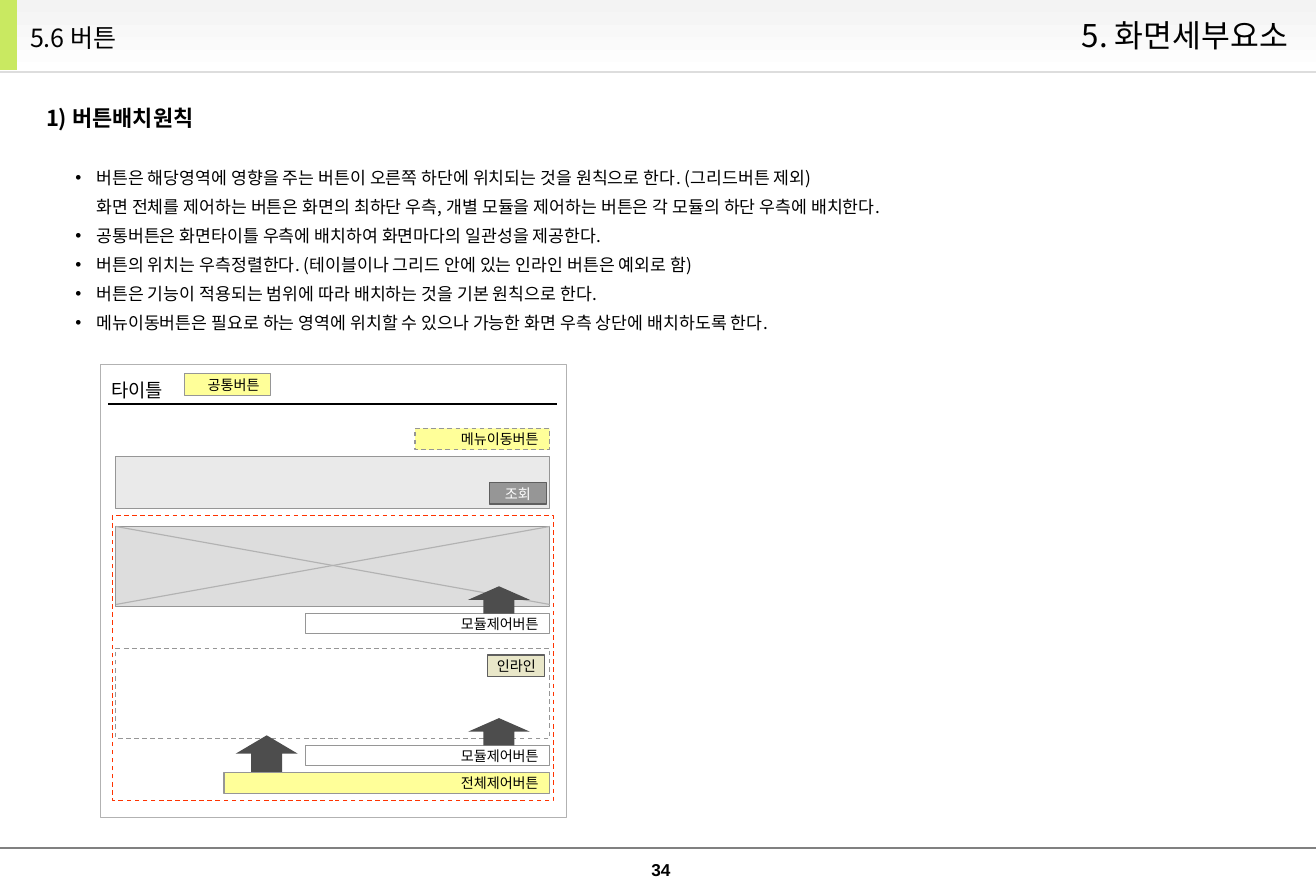
from pptx import Presentation
from pptx.dml.color import RGBColor
from pptx.enum.dml import MSO_LINE
from pptx.enum.shapes import MSO_CONNECTOR, MSO_SHAPE as Form
from pptx.enum.text import MSO_ANCHOR as Anchor, PP_ALIGN as Align
from pptx.oxml.ns import qn
from pptx.util import Pt
from lxml.etree import SubElement

WIDE, HIGH = 840.25, 570.25
KOR = "Noto Sans CJK KR"
BLACK, WHITE, GRAY, EDGE = "000000", "FFFFFF", "969696", "5F5F5F"
PALE, YELLOW, SILVER, DARK = "DDDDDD", "FFFF99", "B2B2B2", "4D4D4D"

TITLE = "5.6 버튼"
PART = "5. 화면세부요소"
HEAD = "1) 버튼배치원칙"
RULES = [
    ["버튼은 해당영역에 영향을 주는 버튼이 오른쪽 하단에 위치되는 것을 원칙으로 한다. (그리드버튼 제외)",
     "화면 전체를 제어하는 버튼은 화면의 최하단 우측, 개별 모듈을 제어하는 버튼은 각 모듈의 하단 우측에 배치한다."],
    ["공통버튼은 화면타이틀 우측에 배치하여 화면마다의 일관성을 제공한다."],
    ["버튼의 위치는 우측정렬한다. (테이블이나 그리드 안에 있는 인라인 버튼은 예외로 함)"],
    ["버튼은 기능이 적용되는 범위에 따라 배치하는 것을 기본 원칙으로 한다."],
    ["메뉴이동버튼은 필요로 하는 영역에 위치할 수 있으나 가능한 화면 우측 상단에 배치하도록 한다."],
]

# Panels: left, top, width, height, fill, line, weight, dashed
LEFT, RIGHT = 74, 351
SPAN = RIGHT - LEFT
PANELS = [
    (72, 329, 281.5, 182.2, None, "FF3300", 0.75, True),
    (LEFT, 414, SPAN, 57.6, WHITE, GRAY, 0.75, True),
    (LEFT, 291.6, SPAN, 33.2, "EAEAEA", GRAY, 0.75, False),
    (LEFT, 336.2, SPAN, 51, PALE, GRAY, 0.75, False),
    (64, 232.5, 297.5, 289.5, None, SILVER, 0.25, False),
]
# Wide buttons: text, right edge, top, width, height, fill, dashed
BUTTONS = [
    ("공통버튼", 172.8, 238.3, 54.8, 14.4, YELLOW, False),
    ("메뉴이동버튼", RIGHT, 273.6, 86, 13.7, YELLOW, True),
    ("모듈제어버튼", RIGHT, 391.8, 156, 12.8, WHITE, False),
    ("모듈제어버튼", RIGHT, 476, 156, 12.8, WHITE, False),
    ("전체제어버튼", RIGHT, 493.2, 208, 13.7, YELLOW, False),
]
# Small buttons: text, left, top, fill, text colour
SMALL = [
    ("인라인", 311.5, 418.3, "E9E7C9", BLACK),
    ("조회", 312.5, 308.2, GRAY, WHITE),
]
ARROWS = [(150.5, 469.6, 23.4), (298.8, 374.4, 17.4), (298.8, 458.6, 17.4)]


def tint(code):
    return RGBColor.from_string(code)


def box(form, x, y, w, h, fill=None, line=None, weight=0.75, dash=False):
    shape = slide.shapes.add_shape(form, Pt(x), Pt(y), Pt(w), Pt(h))
    shape.shadow.inherit = False
    if fill:
        shape.fill.solid()
        shape.fill.fore_color.rgb = tint(fill)
    else:
        shape.fill.background()
    if line:
        shape.line.color.rgb = tint(line)
        shape.line.width = Pt(weight)
        if dash:
            shape.line.dash_style = MSO_LINE.DASH
    else:
        shape.line.fill.background()
    return shape


def rule(x1, y1, x2, y2, color, weight=0.75):
    line = slide.shapes.add_connector(
        MSO_CONNECTOR.STRAIGHT, Pt(x1), Pt(y1), Pt(x2), Pt(y2))
    line.line.color.rgb = tint(color)
    line.line.width = Pt(weight)
    SubElement(line._element.spPr, qn("a:effectLst"))


def style(font, size, color=BLACK, bold=False, face=KOR):
    font.size, font.bold, font.name = Pt(size), bold, face
    font.color.rgb = tint(color)


def add_run(para, text, size, color=BLACK, bold=False, face=KOR):
    run = para.add_run()
    run.text = text
    style(run.font, size, color, bold, face)
    SubElement(run._r.get_or_add_rPr(), qn("a:ea"), typeface=face)


def write(shape, text, size, align=Align.LEFT, anchor=Anchor.MIDDLE,
          wrap=False, pad=None, **look):
    frame = shape.text_frame
    frame.word_wrap, frame.vertical_anchor = wrap, anchor
    if pad is not None:
        frame.margin_left = frame.margin_right = Pt(pad)
        frame.margin_top = frame.margin_bottom = Pt(pad)
    para = frame.paragraphs[0]
    para.alignment = align
    add_run(para, text, size, **look)


def label(x, y, w, h):
    return slide.shapes.add_textbox(Pt(x), Pt(y), Pt(w), Pt(h))


def bullet(para):
    props = para._p.get_or_add_pPr()
    props.set("marL", str(Pt(13.5)))
    props.set("indent", str(Pt(-13.5)))
    SubElement(SubElement(props, qn("a:buClr")), qn("a:srgbClr"), val=BLACK)
    SubElement(props, qn("a:buFont"), typeface="Arial")
    SubElement(props, qn("a:buChar"), char="•")


deck = Presentation()
deck.slide_width, deck.slide_height = Pt(WIDE), Pt(HIGH)
slide = deck.slides.add_slide(deck.slide_layouts[5])

# Header and footer
band = box(Form.RECTANGLE, 0, 0, WIDE, 47.5, WHITE)
band.fill.gradient()
band.fill.gradient_angle = 270
for stop, code in zip(band.fill.gradient_stops, ("F3F3F3", WHITE)):
    stop.color.rgb = tint(code)
rule(0, 46, WIDE, 46, PALE, 1.5)
box(Form.RECTANGLE, 0, 0, 10.8, 44.6, "C9E961")
rule(0, 541.5, WIDE, 541.5, "808080")
write(label(402, 549, 40, 12), "34", 11, Align.CENTER, wrap=True, pad=0,
      bold=True, face="Arial")

title = slide.shapes.title
title.left, title.top, title.width, title.height = Pt(12), Pt(8), Pt(231), Pt(32.4)
slide.shapes._spTree.append(title._element)
write(title, TITLE, 16, wrap=True)
write(label(420.5, 0, 409, 44.6), PART, 20, Align.RIGHT, wrap=True)

# Heading and rules
write(label(22.3, 63.4, 117.5, 24.5), HEAD, 14, anchor=Anchor.TOP, bold=True)
frame = label(41, 98, 738.8, 119.5).text_frame
frame.word_wrap = True
for i, lines in enumerate(RULES):
    para = frame.add_paragraph() if i else frame.paragraphs[0]
    bullet(para)
    para.line_spacing = 1.4
    style(para.font, 11)
    for j, text in enumerate(lines):
        if j:
            para.add_line_break()
        add_run(para, text, 11)

# Screen sketch
for panel in PANELS:
    box(Form.RECTANGLE, *panel)
rule(LEFT, 336.2, RIGHT, 386, SILVER)
rule(LEFT, 386, RIGHT, 336.2, SILVER)
rule(69, 257.8, 355.8, 257.8, BLACK, 1.5)
write(label(64, 238.3, 51, 21.6), "타이틀", 12, anchor=Anchor.TOP)
for text, right, y, w, h, fill, dash in BUTTONS:
    write(box(Form.RECTANGLE, right - w, y, w, h, fill, GRAY, dash=dash),
          text, 9, Align.RIGHT)
for text, x, y, fill, color in SMALL:
    write(box(Form.RECTANGLE, x, y, 36.4, 13.7, fill, EDGE),
          text, 9, Align.CENTER, pad=3, color=color)
for x, y, h in ARROWS:
    box(Form.UP_ARROW, x, y, 39.6, h, DARK)

deck.save("out.pptx")
